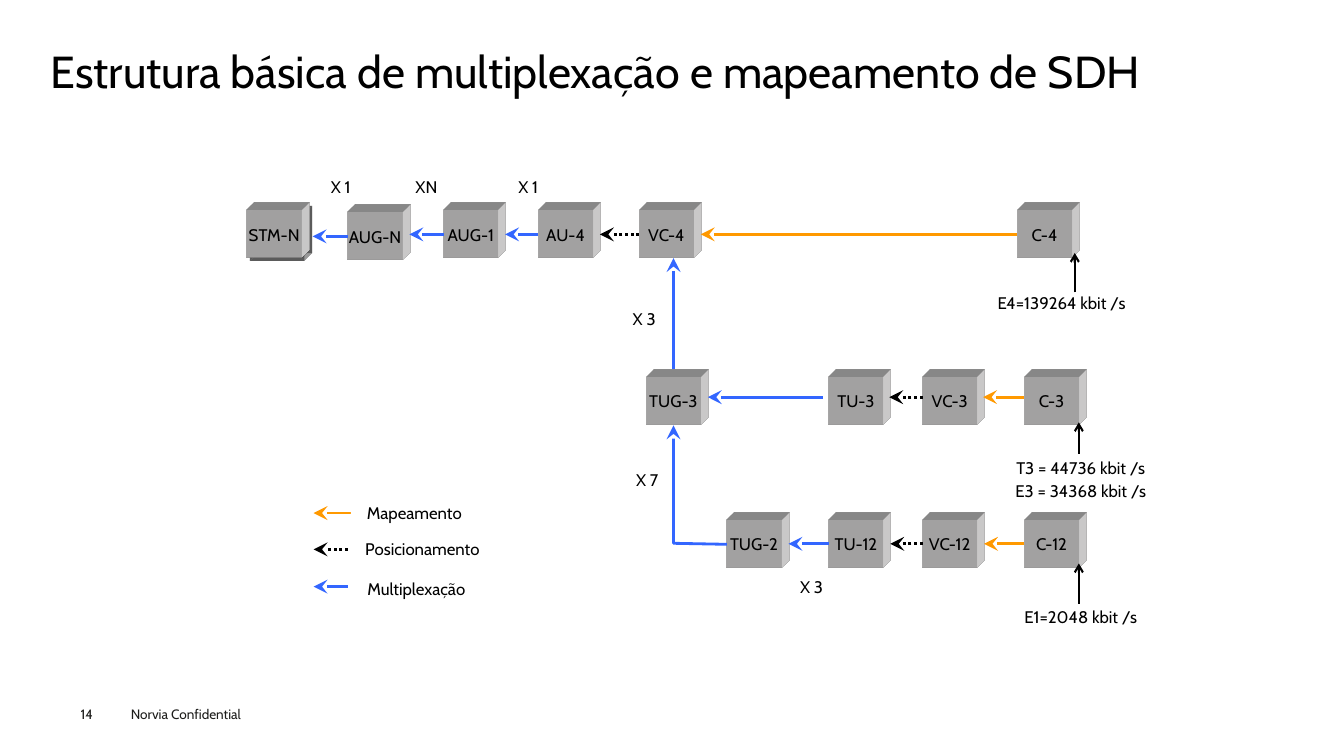
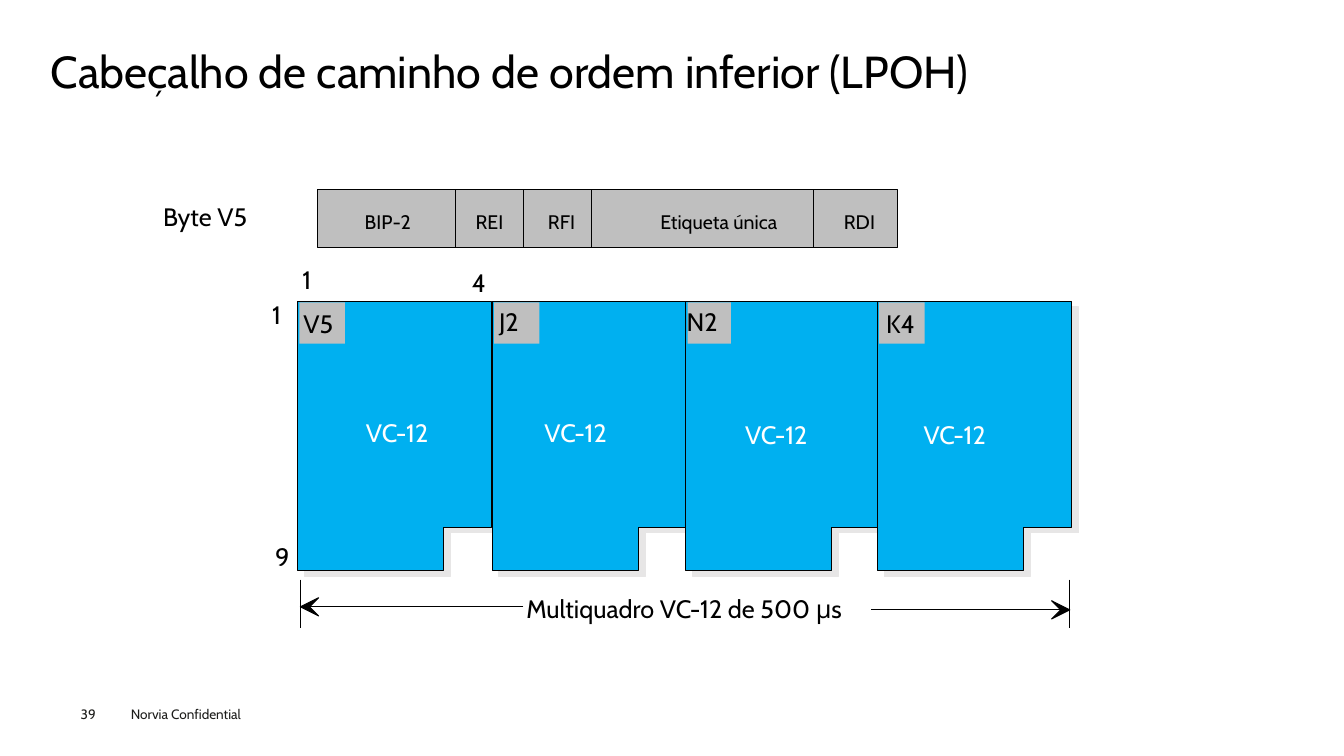
import dataclasses
import lxml.etree
import pptx
import pptx.dml.color
import pptx.enum.dml
import pptx.enum.shapes
import pptx.enum.text
import pptx.oxml.ns
import pptx.util

Inches = pptx.util.Inches
Pt = pptx.util.Pt
Align = pptx.enum.text.PP_ALIGN
Anchor = pptx.enum.text.MSO_ANCHOR
Kind = pptx.enum.shapes.MSO_SHAPE
Dash = pptx.enum.dml.MSO_LINE


@dataclasses.dataclass(frozen=True)
class Theme:
    """Colours, type sizes and shared lengths."""
    font: str = "Cabin"
    black: str = "000000"
    white: str = "FFFFFF"
    foot: str = "1D1D1B"
    pale: str = "E7E6E6"
    grey: str = "BFBFBF"
    cyan: str = "00B0F0"
    blue: str = "3366FF"
    amber: str = "FF9900"
    title: float = 32
    large: float = 18
    mid: float = 14
    small: float = 12
    tiny: float = 9.7
    hair: float = 0.75
    depth: float = 0.22
    pad: tuple = (0.1, 0.05, 0.1, 0.05)
    flush: tuple = (0, 0, 0, 0)


@dataclasses.dataclass(frozen=True)
class Pen:
    """Look of a line and its arrowhead."""
    color: str
    width: float
    head: str = ""
    size: str = "med"
    dash: object = None


T = Theme()
MAP = Pen(T.amber, 2, "stealth", "lg")
POS = Pen(T.black, 2, "stealth", "lg", Dash.ROUND_DOT)
MUX = Pen(T.blue, 2, "stealth", "lg")
RATE = Pen(T.black, 1.5, "arrow")
HAIR = Pen(T.black, T.hair)


def tint(color):
    """Turn a hex string into a colour."""
    return pptx.dml.color.RGBColor.from_string(color)


def node(parent, tag, **attrs):
    """Add a drawing element under a parent."""
    return lxml.etree.SubElement(parent, pptx.oxml.ns.qn(tag), attrs)


def stroke(shape, pen):
    """Apply a pen to a shape's line."""
    line = shape.line
    line.color.rgb = tint(pen.color)
    line.width = Pt(pen.width)
    if pen.dash:
        line.dash_style = pen.dash
    if pen.head:
        node(line._get_or_add_ln(), "a:tailEnd", type=pen.head, w=pen.size, len=pen.size)


def paint(shape, color, pen=None):
    """Set fill and outline, and drop the shadow."""
    shape.shadow.inherit = False
    if color:
        shape.fill.solid()
        shape.fill.fore_color.rgb = tint(color)
    else:
        shape.fill.background()
    if pen:
        stroke(shape, pen)
    else:
        shape.line.fill.background()
    return shape


def cast(shape, color, alpha, blur, dist, angle):
    """Give a shape an outer shadow."""
    effects = shape._element.spPr.find(pptx.oxml.ns.qn("a:effectLst"))
    outer = node(effects, "a:outerShdw", blurRad=str(Pt(blur)), dist=str(Pt(dist)),
                 dir=str(angle * 60000), algn="ctr", rotWithShape="0")
    shade = node(outer, "a:srgbClr", val=color)
    if alpha < 100:
        node(shade, "a:alpha", val=str(alpha * 1000))


def write(shape, text, size, color=T.black, align=Align.LEFT, pad=T.pad, wrap=True,
          anchor=Anchor.TOP, space=None):
    """Write one run into a shape."""
    frame = shape.text_frame
    frame.word_wrap = wrap
    frame.vertical_anchor = anchor
    frame.margin_left, frame.margin_top, frame.margin_right, frame.margin_bottom = map(Inches, pad)
    para = frame.paragraphs[0]
    para.alignment = align
    if space:
        para.line_spacing = space
    run = para.add_run()
    run.text = text
    run.font.name = T.font
    run.font.size = Pt(size)
    run.font.color.rgb = tint(color)


def label(slide, text, box, size, **style):
    """Add a text box."""
    write(slide.shapes.add_textbox(*map(Inches, box)), text, size, **style)


def block(slide, box, color, pen=None):
    """Add a filled rectangle."""
    return paint(slide.shapes.add_shape(Kind.RECTANGLE, *map(Inches, box)), color, pen)


def poly(slide, points, color, pen=None, close=True):
    """Add an outline through the given points."""
    spots = [(Inches(x), Inches(y)) for x, y in points]
    form = slide.shapes.build_freeform(*spots[0])
    form.add_line_segments(spots[1:], close=close)
    return paint(form.convert_to_shape(), color, pen)


def wire(slide, start, end, pen):
    """Add a straight line."""
    line = slide.shapes.add_connector(
        pptx.enum.shapes.MSO_CONNECTOR.STRAIGHT, *map(Inches, (*start, *end)))
    stroke(line, pen)
    node(line._element.spPr, "a:effectLst")
    return line


def link(slide, start, end, pen, gap=0.07):
    """Run an arrow from one box's left side to the edge of another."""
    y = (start.top + start.height / 2) / Inches(1)
    tip = (end.left + end.width) / Inches(1) + gap
    line = wire(slide, (start.left / Inches(1), y), (tip, y), pen)
    line.begin_connect(start, 1)


def cube(slide, text, x, y):
    """Add a labelled box with an extruded body."""
    face = block(slide, (x, y, 0.54, 0.47), T.pale)
    if text == "STM-N":
        cast(face, T.black, 40, 4, 3, 45)
    props = face._element.spPr
    scene = node(props, "a:scene3d")
    node(scene, "a:camera", prst="legacyObliqueTopRight")
    node(scene, "a:lightRig", rig="legacyFlat3", dir="b")
    solid = node(props, "a:sp3d", extrusionH=str(Inches(T.depth)), prstMaterial="legacyMatte")
    for bevel in ("a:bevelT", "a:bevelB"):
        node(solid, bevel, w="13500", h="13500", prst="angle")
    node(node(solid, "a:extrusionClr"), "a:srgbClr", val=T.pale)
    write(face, text, T.small, align=Align.CENTER, wrap=False, anchor=Anchor.MIDDLE)
    return face


def page(deck, title, number):
    """Add a slide with title and footer."""
    slide = deck.slides.add_slide(deck.slide_layouts[6])
    label(slide, "Norvia Confidential", (1.2, 6.95, 1.6, 0.27), T.tiny, color=T.foot)
    label(slide, number, (0.8, 7, 0.55, 0.16), T.tiny, color=T.foot, pad=T.flush)
    label(slide, title, (0.5, 0.49, 12.35, 0.54), T.title, pad=T.flush, space=0.9)
    return slide


def scheme(deck):
    """Build the multiplexing structure."""
    slide = page(deck, "Estrutura básica de multiplexação e mapeamento de SDH", "14")
    rows = [
        (2.09, [("STM-N", 2.45), ("AUG-N", 3.45), ("AUG-1", 4.4), ("AU-4", 5.34),
                ("VC-4", 6.34), ("C-4", 10.09)]),
        (3.74, [("TUG-3", 6.41), ("TU-3", 8.22), ("VC-3", 9.15), ("C-3", 10.16)]),
        (5.16, [("TUG-2", 7.21), ("TU-12", 8.22), ("VC-12", 9.15), ("C-12", 10.16)]),
    ]
    cubes = {}
    for y, cells in rows:
        for name, x in cells:
            drop = 0.02 if name == "AUG-N" else 0
            cubes[name] = cube(slide, name, x, y + drop)
    link(slide, cubes["AUG-N"], cubes["STM-N"], MUX, 0.11)
    for start, end, pen in [
        ("AUG-1", "AUG-N", MUX), ("AU-4", "AUG-1", MUX), ("VC-4", "AU-4", POS),
        ("C-4", "VC-4", MAP), ("TU-12", "TUG-2", MUX), ("VC-12", "TU-12", POS),
        ("C-12", "VC-12", MAP),
    ]:
        link(slide, cubes[start], cubes[end], pen)
    for start, end, pen in [(8.16, 7.02, MUX), (9.15, 8.82, POS), (10.16, 9.75, MAP)]:
        wire(slide, (start, 3.94), (end, 3.94), pen)
    wire(slide, (6.68, 3.66), (6.68, 2.56), MUX)
    poly(slide, [(7.21, 5.4), (6.68, 5.39), (6.68, 4.22)], None, MUX, False)
    for x, low, high in [(10.66, 2.9, 2.51), (10.7, 4.5, 4.19), (10.7, 5.99, 5.59)]:
        wire(slide, (x, low), (x, high), RATE)
    for text, y, wide, shift, tail, pen in [
        ("Mapeamento", 4.94, 1.26, 0.15, 3.52, MAP),
        ("Posicionamento", 5.29, 1.42, 0.16, 3.45, POS),
        ("Multiplexação", 5.69, 1.3, 0.13, 3.45, MUX),
    ]:
        wire(slide, (tail, y + shift), (3.11, y + shift), pen)
        plate = block(slide, (3.48, y, wide, 0.3), T.white)
        write(plate, text, T.small, align=Align.CENTER, anchor=Anchor.MIDDLE)
    for text, x, y, wide in [
        ("X 1", 3.08, 1.7, 0.6), ("XN", 3.93, 1.7, 0.6), ("X 1", 4.94, 1.7, 0.6),
        ("X 3", 6.09, 3.01, 0.6), ("X 7", 6.12, 4.61, 0.6), ("X 3", 7.75, 5.67, 0.6),
        ("E4=139264 kbit /s", 9.69, 2.86, 1.68),
        ("T3 = 44736 kbit /s", 9.88, 4.49, 1.68),
        ("E3 = 34368 kbit /s", 9.88, 4.72, 1.68),
        ("E1=2048 kbit /s", 9.88, 5.97, 1.68),
    ]:
        label(slide, text, (x, y, wide, 0.3), T.small, align=Align.CENTER)


def frame(slide, left, right):
    """Add one notched container with a shadow."""
    notch = left + 1.45
    shape = poly(slide, [(left, 2.99), (left, 5.66), (notch, 5.66), (notch, 5.23),
                         (right, 5.23), (right, 2.99)], T.cyan, HAIR)
    cast(shape, T.pale, 100, 0, 6.4, 39)


def span(slide, tip, tail, y, turn):
    """Add half of a dimension line with its head and end mark."""
    wire(slide, (tip, 5.75), (tip, 6.23), HAIR)
    wire(slide, (tail, y), (tip + 0.09 * turn, y), HAIR)
    far = tip + 0.18 * turn
    for rise in (-0.09, 0.09):
        poly(slide, [(tip, y), (far, y + rise), (tip + 0.09 * turn, y)], T.black, HAIR)


def header(deck):
    """Build the path overhead slide."""
    slide = page(deck, "Cabeçalho de caminho de ordem inferior (LPOH)", "39")
    edges = [2.95, 4.88, 6.8, 8.7, 10.63]
    for left, right in zip(edges, edges[1:]):
        frame(slide, left, right)
    for left, wide in zip(edges, (0.45, 0.45, 0.43, 0.45)):
        block(slide, (left + 0.02, 3, wide, 0.41), T.grey)
    for text, x, y, wide in [
        ("1", 3, 2.62, 0.14), ("4", 4.68, 2.65, 0.14), ("1", 2.7, 2.97, 0.14),
        ("9", 2.73, 5.37, 0.14), ("V5", 3.01, 3.06, 0.3), ("J2", 4.95, 3.04, 0.23),
        ("N2", 6.81, 3.04, 0.34), ("K4", 8.79, 3.06, 0.3),
        ("Multiquadro VC-12 de 500 μs", 5.22, 5.89, 3.3),
    ]:
        label(slide, text, (x, y, wide, 0.3), T.large, pad=T.flush, wrap=False)
    for x, y in [(3.63, 4.14), (5.4, 4.14), (7.39, 4.16), (9.16, 4.16)]:
        label(slide, "VC-12", (x, y, 0.7, 0.3), T.large, color=T.white, pad=T.flush, wrap=False)
    span(slide, 2.98, 5.19, 6.02, 1)
    span(slide, 10.61, 8.64, 6.05, -1)
    label(slide, "Byte V5", (1.52, 1.95, 1.2, 0.4), T.large, wrap=False)
    block(slide, (3.15, 1.88, 5.75, 0.58), T.grey, HAIR)
    for x in (4.52, 5.19, 5.87, 8.07):
        wire(slide, (x, 1.88), (x, 2.45), HAIR)
    for text, x, wide in [("BIP-2", 3.34, 1.01), ("REI", 4.58, 0.55), ("RFI", 5.29, 0.56),
                          ("Etiqueta única", 6.36, 1.54), ("RDI", 8.21, 0.63)]:
        label(slide, text, (x, 2.03, wide, 0.35), T.mid, align=Align.CENTER)


def main():
    """Build and save the deck."""
    deck = pptx.Presentation()
    deck.slide_width, deck.slide_height = Inches(13.33), Inches(7.5)
    scheme(deck)
    header(deck)
    deck.save("out.pptx")


if __name__ == "__main__":
    main()
